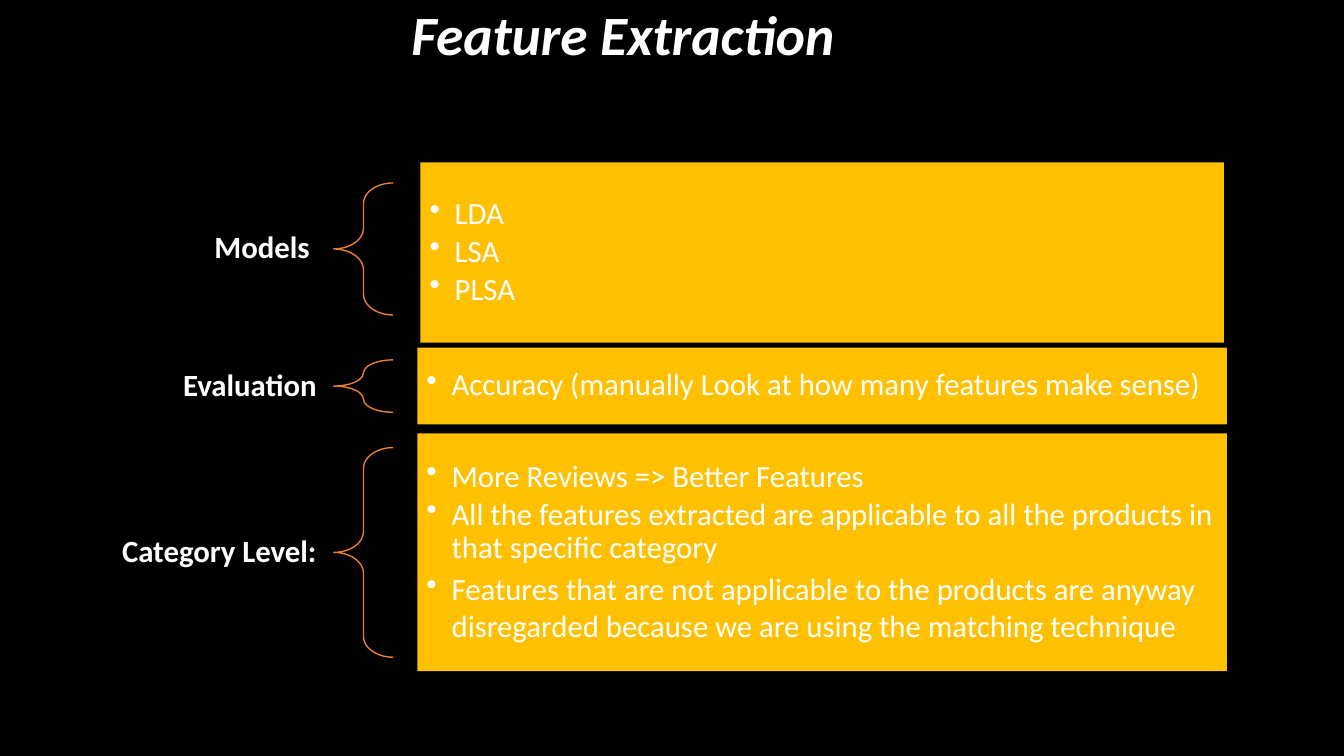
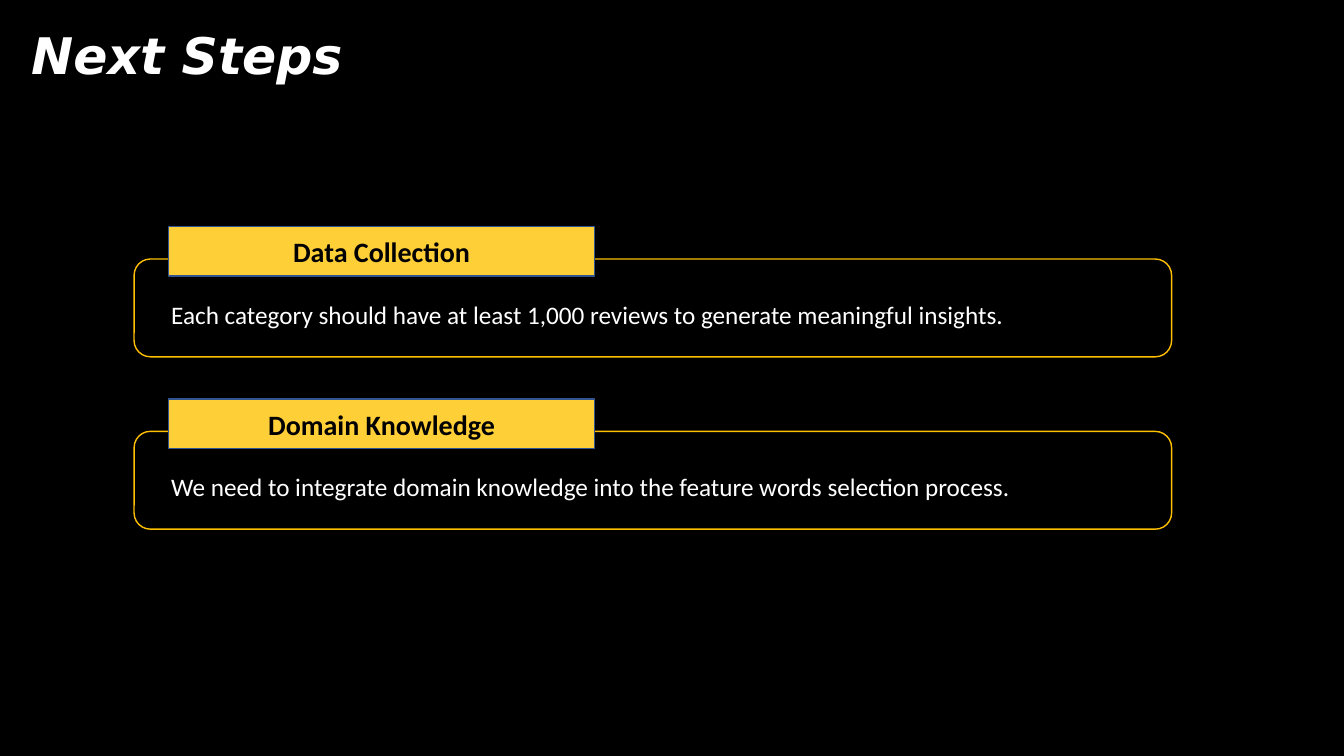
import pptx
import pptx.dml.color
import pptx.enum.shapes
import pptx.enum.text
import pptx.oxml.ns
import pptx.util
import lxml.etree

Inches = pptx.util.Inches
Pt = pptx.util.Pt
Shape = pptx.enum.shapes.MSO_SHAPE
Align = pptx.enum.text.PP_ALIGN
Anchor = pptx.enum.text.MSO_ANCHOR
Fit = pptx.enum.text.MSO_AUTO_SIZE


def color(code):
    return pptx.dml.color.RGBColor.from_string(code)


class Deck:
    black, white = "000000", "FFFFFF"
    gold, yellow = "FFC000", "FFCF37"
    orange, navy = "ED7D31", "325491"
    face = "Calibri"

    def __init__(self):
        self.show = pptx.Presentation()
        self.show.slide_width = Inches(13.33)
        self.show.slide_height = Inches(7.5)
        back = self.show.slide_master.background.fill
        back.solid()
        back.fore_color.rgb = color(self.black)
        self.slide = None

    def frame(self, shape, anchor=Anchor.MIDDLE, pad=(0.1, 0.05)):
        frame = shape.text_frame
        frame.word_wrap = True
        frame.auto_size = Fit.NONE
        frame.vertical_anchor = anchor
        frame.margin_left = frame.margin_right = Inches(pad[0])
        frame.margin_top = frame.margin_bottom = Inches(pad[1])
        return frame

    def text(self, para, words, size, code=white, bold=False,
             align=Align.LEFT, lead=0.9, face=face):
        para.alignment = align
        para.line_spacing = lead
        run = para.add_run()
        run.text = words
        font = run.font
        font.name, font.size, font.bold = face, Pt(size), bold
        font.color.rgb = color(code)
        return font

    def title(self, words, box, size, align=Align.LEFT, face=face):
        layout = self.show.slide_layouts[5]
        self.slide = self.show.slides.add_slide(layout)
        head = self.slide.shapes.title
        head.left, head.top, head.width, head.height = map(Inches, box)
        para = self.frame(head).paragraphs[0]
        font = self.text(para, words, size, bold=True, align=align, face=face)
        font.italic = True

    def shape(self, kind, box, fill=None, line=None):
        shape = self.slide.shapes.add_shape(kind, *map(Inches, box))
        shape.shadow.inherit = False
        if fill:
            shape.fill.solid()
            shape.fill.fore_color.rgb = color(fill)
        else:
            shape.fill.background()
        if line:
            shape.line.color.rgb = color(line)
            shape.line.width = Pt(1)
        else:
            shape.line.fill.background()
        return shape

    def label(self, words, box, size, anchor=Anchor.MIDDLE, pad=(0.1, 0.05),
              **style):
        shape = self.slide.shapes.add_textbox(*map(Inches, box))
        para = self.frame(shape, anchor, pad).paragraphs[0]
        self.text(para, words, size, **style)

    def brace(self, box):
        shape = self.shape(Shape.LEFT_BRACE, box, line=self.orange)
        shape.adjustments[0] = 0.35

    def panel(self, box, items):
        shape = self.shape(Shape.RECTANGLE, box, fill=self.gold)
        frame = self.frame(shape, pad=(0.09, 0.09))
        for index, (words, lead) in enumerate(items):
            para = frame.add_paragraph() if index else frame.paragraphs[0]
            props = para._p.get_or_add_pPr()
            props.set("marL", str(Inches(0.25)))
            props.set("indent", str(-Inches(0.25)))
            mark = lxml.etree.SubElement(props, pptx.oxml.ns.qn("a:buChar"))
            mark.set("char", "•")
            self.text(para, words, 22, lead=lead)
            if index < len(items) - 1:
                para.space_after = Pt(3.3)

    def row(self, name, mid, span, box, items):
        self.label(name, (0.36, mid - 0.24, 2.95, 0.48), 22,
                   pad=(0.17, 0.06), bold=True, align=Align.RIGHT)
        self.brace((3.31, mid - span / 2, 0.59, span))
        self.panel(box, items)

    def step(self, top, name, words):
        self.shape(Shape.ROUNDED_RECTANGLE, (1.33, top + 0.32, 10.29, 0.97),
                   line=self.gold)
        tab = self.shape(Shape.RECTANGLE, (1.67, top, 4.23, 0.49),
                         self.yellow, self.navy)
        self.text(self.frame(tab).paragraphs[0], name, 20, self.black,
                  bold=True, align=Align.CENTER, lead=1.0)
        self.label(words, (1.6, top + 0.67, 10.4, 0.4), 18, Anchor.TOP,
                   lead=1.0)


def main():
    deck = Deck()

    deck.title("Feature Extraction", (0.43, 0.08, 11.5, 0.59), 39.6,
               Align.CENTER)
    deck.row("Models ", 2.47, 1.31, (4.17, 1.61, 7.97, 1.79),
             [("LDA", 0.9), ("LSA", 0.9), ("PLSA", 0.9)])
    deck.row("Evaluation", 3.83, 0.52, (4.14, 3.45, 8.03, 0.76),
             [("Accuracy (manually Look at how many features make sense)",
               0.9)])
    deck.row("Category Level:", 5.48, 2.08, (4.14, 4.3, 8.03, 2.36),
             [("More Reviews => Better Features", 0.9),
              ("All the features extracted are applicable to all the "
               "products in that specific category", 0.9),
              ("Features that are not applicable to the products are anyway "
               "disregarded because we are using the matching technique",
               1.0)])

    deck.title("Next Steps", (0.21, 0.11, 11.5, 0.93), 36,
               face="DejaVu Sans")
    steps = [
        ("Data Collection", "Each category should have at least 1,000 "
         "reviews to generate meaningful insights."),
        ("Domain Knowledge", "We need to integrate domain knowledge into "
         "the feature words selection process."),
    ]
    for index, (name, words) in enumerate(steps):
        deck.step(2.25 + 1.71 * index, name, words)

    deck.show.save("out.pptx")


if __name__ == "__main__":
    main()
